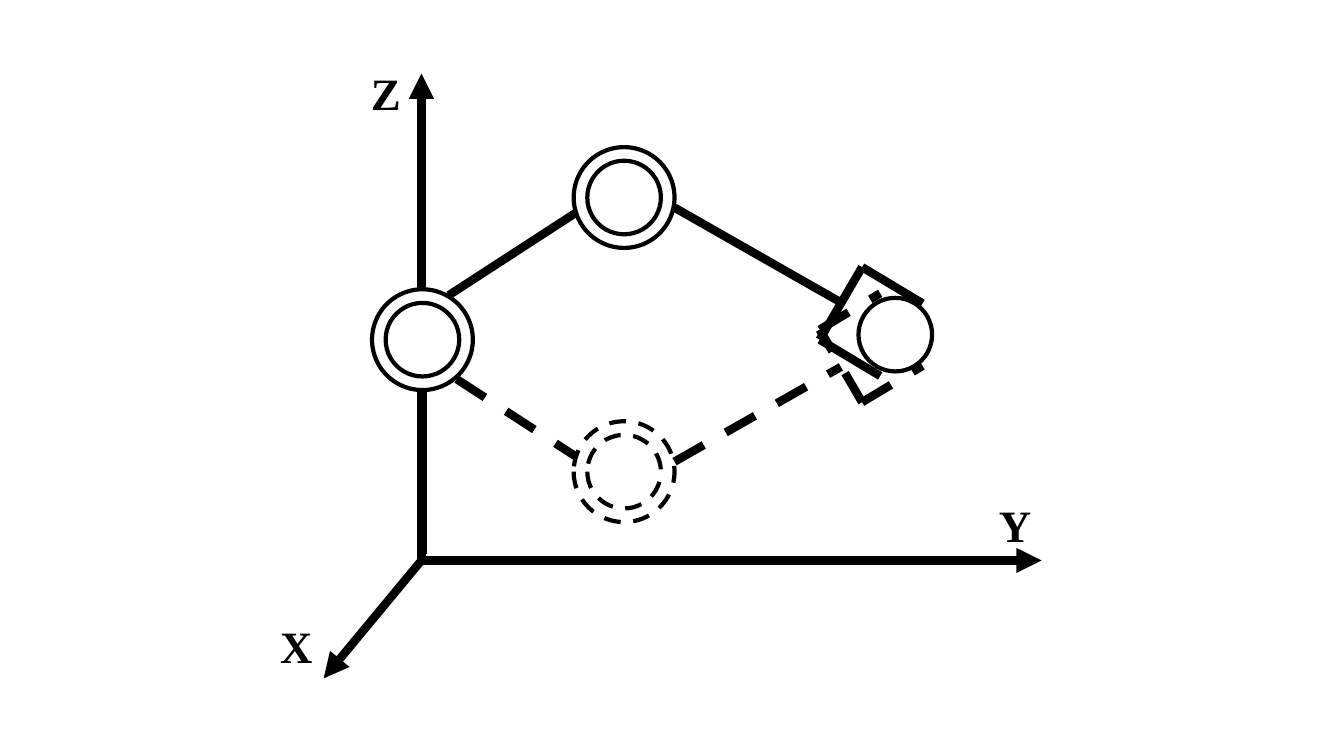
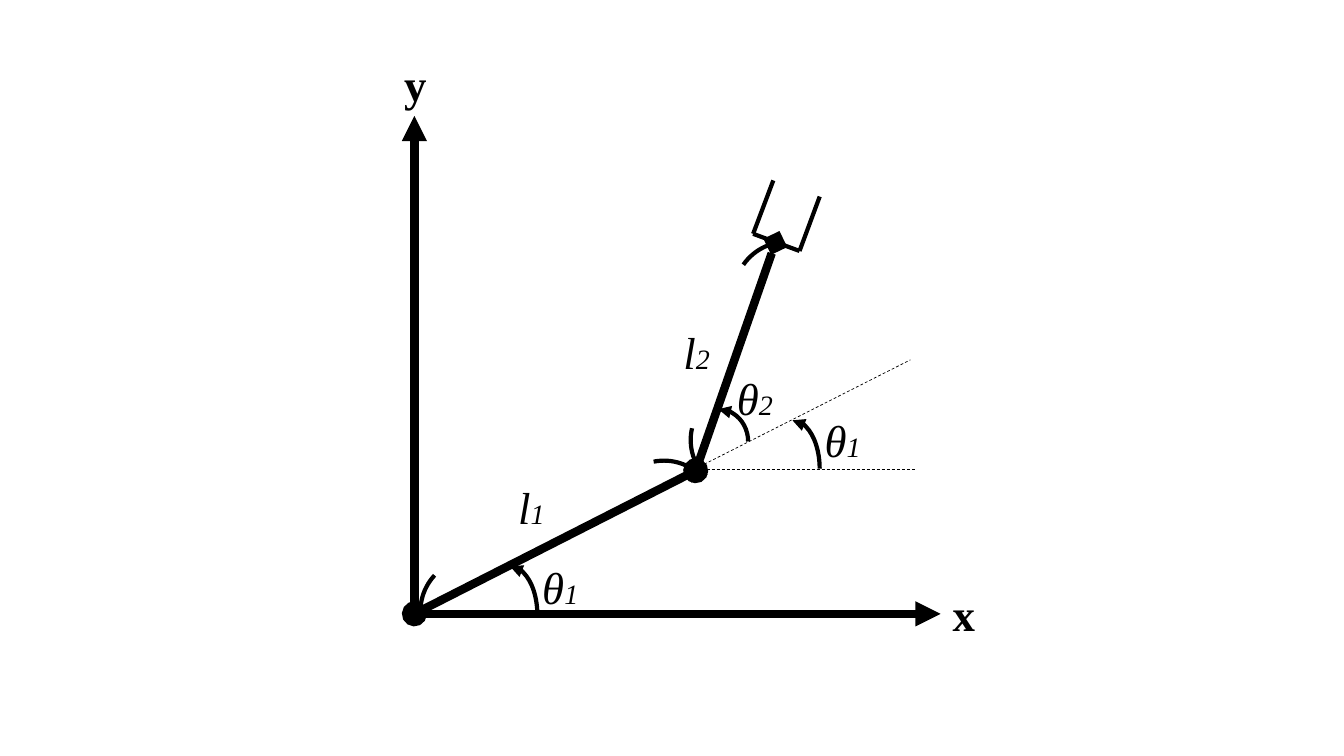
"""Draw a two-link robot arm in space and its planar joint geometry."""
from dataclasses import dataclass

import lxml.etree
import pptx
import pptx.dml.color
import pptx.enum.dml
import pptx.enum.shapes
import pptx.enum.text
import pptx.oxml.ns
import pptx.shapes.base
import pptx.slide
import pptx.util

Inches = pptx.util.Inches
Point = tuple[float, float]
BLACK = pptx.dml.color.RGBColor(0, 0, 0)
WHITE = pptx.dml.color.RGBColor(255, 255, 255)
SHAPES = pptx.enum.shapes.MSO_SHAPE
qn = pptx.oxml.ns.qn

BASE_FONT = {"name": "Times New Roman", "size": pptx.util.Pt(32)}
AXIS_FONT = BASE_FONT | {"bold": True}
SYMBOL_FONT = BASE_FONT | {"italic": True}
INDEX_FONT = SYMBOL_FONT | {"size": pptx.util.Pt(20)}

THICK, MEDIUM, THIN = 6, 3, 0.5
OUTER_RADIUS, INNER_RADIUS = 0.5, 0.365
MIRROR_HEIGHT = 3.32
DEGREES_TO_ADJUSTMENT = 0.6


@dataclass(frozen=True)
class Segment:
    start: Point
    end: Point
    width: float = THICK
    dashed: bool = False
    head: str = ""
    tail: str = ""


@dataclass(frozen=True)
class Arc:
    left: float
    top: float
    width: float
    height: float
    head: str = ""
    rotation: float = 0
    flips: str = ""
    sweep: Point = (270, 0)


@dataclass(frozen=True)
class Label:
    text: str
    left: float
    top: float
    width: float
    index: str = ""


def style_outline(shape: pptx.shapes.base.BaseShape, width: float, dashed: bool = False,
                  head: str = "", tail: str = "") -> None:
    shape.line.color.rgb = BLACK
    shape.line.width = pptx.util.Pt(width)
    if dashed:
        shape.line.dash_style = pptx.enum.dml.MSO_LINE.DASH
    outline = shape.element.spPr.find(qn("a:ln"))
    for tag, kind in (("a:headEnd", head), ("a:tailEnd", tail)):
        if kind:
            lxml.etree.SubElement(outline, qn(tag), type=kind)


def flip(shape: pptx.shapes.base.BaseShape, directions: str) -> None:
    for direction in directions:
        shape.element.spPr.find(qn("a:xfrm")).set(f"flip{direction}", "1")


def draw_segment(slide: pptx.slide.Slide, segment: Segment) -> None:
    connector = slide.shapes.add_connector(
        pptx.enum.shapes.MSO_CONNECTOR.STRAIGHT,
        *(Inches(value) for value in segment.start + segment.end))
    style_outline(connector, segment.width, segment.dashed, segment.head, segment.tail)
    lxml.etree.SubElement(connector.element.spPr, qn("a:effectLst"))


def draw_circle(slide: pptx.slide.Slide, center: Point, radius: float, dashed: bool = False) -> None:
    x, y = center
    circle = slide.shapes.add_shape(
        SHAPES.OVAL, Inches(x - radius), Inches(y - radius), Inches(2 * radius), Inches(2 * radius))
    circle.shadow.inherit = False
    circle.fill.solid()
    circle.fill.fore_color.rgb = WHITE
    style_outline(circle, MEDIUM, dashed)
    flip(circle, "V" if dashed else "")


def draw_joint(slide: pptx.slide.Slide, center: Point, dashed: bool = False) -> None:
    for radius in (OUTER_RADIUS, INNER_RADIUS):
        draw_circle(slide, center, radius, dashed)


def draw_arc(slide: pptx.slide.Slide, arc: Arc) -> None:
    curve = slide.shapes.add_shape(
        SHAPES.ARC, Inches(arc.left), Inches(arc.top), Inches(arc.width), Inches(arc.height))
    curve.shadow.inherit = False
    curve.fill.background()
    curve.rotation = arc.rotation
    for position, angle in enumerate(arc.sweep):
        curve.adjustments[position] = angle * DEGREES_TO_ADJUSTMENT
    flip(curve, arc.flips)
    style_outline(curve, MEDIUM, head=arc.head)


def draw_label(slide: pptx.slide.Slide, label: Label) -> None:
    box = slide.shapes.add_textbox(
        Inches(label.left), Inches(label.top), Inches(label.width), Inches(0.64))
    frame = box.text_frame
    frame.word_wrap = False
    frame.auto_size = pptx.enum.text.MSO_AUTO_SIZE.SHAPE_TO_FIT_TEXT
    pieces = ([(label.text, SYMBOL_FONT), (label.index, INDEX_FONT)] if label.index
              else [(label.text, AXIS_FONT)])
    for text, font in pieces:
        run = frame.paragraphs[0].add_run()
        run.text = text
        run.font.color.rgb = BLACK
        for attribute, value in font.items():
            setattr(run.font, attribute, value)


def draw_arm(slide: pptx.slide.Slide, mirrored: bool) -> None:
    def place(point: Point) -> Point:
        x, y = point
        return (x, 2 * MIRROR_HEIGHT - y) if mirrored else point

    def draw_link(start: Point, end: Point) -> None:
        draw_segment(slide, Segment(place(start), place(end), dashed=mirrored))

    draw_link((5.79, 2.06), (4.45, 2.93))
    draw_joint(slide, place((6.19, 1.96)), mirrored)
    draw_link((6.69, 2.06), (8.34, 3))
    palm_top, palm_bottom = (8.55, 2.65), (8.13, 3.37)
    draw_link(palm_top, palm_bottom)
    draw_link(palm_bottom, (8.73, 3.73))
    draw_link(palm_top, (9.15, 3.01))


def draw_spatial_arm(slide: pptx.slide.Slide) -> None:
    for axis in (
        Segment((3.21, 6.73), (4.18, 5.56), head="triangle"),
        Segment((4.18, 5.56), (4.18, 0.73), tail="triangle"),
        Segment((4.16, 5.56), (10.33, 5.56), tail="triangle"),
    ):
        draw_segment(slide, axis)
    draw_arm(slide, mirrored=True)
    draw_segment(slide, Segment((4.19, 3.87), (4.19, 5.5)))
    draw_joint(slide, (4.19, 3.37))
    draw_arm(slide, mirrored=False)
    draw_circle(slide, (8.88, 3.32), INNER_RADIUS)
    for axis_name in (
        Label("Z", 3.58, 0.6, 0.5),
        Label("Y", 9.81, 4.89, 0.53),
        Label("X", 2.68, 6.09, 0.53),
    ):
        draw_label(slide, axis_name)


def draw_planar_arm(slide: pptx.slide.Slide) -> None:
    origin, elbow = (4.11, 6.09), (6.9, 4.67)
    palm_left, palm_right = (7.47, 2.32), (7.93, 2.49)
    for segment in (
        Segment(origin, (4.11, 1.15), tail="triangle"),
        Segment((4.07, 6.09), (9.33, 6.09), tail="triangle"),
        Segment(origin, elbow, head="oval", tail="oval"),
        Segment(elbow, (7.69, 2.41), head="diamond", tail="diamond"),
        Segment(palm_left, (7.67, 1.79), MEDIUM),
        Segment(palm_right, (8.13, 1.95), MEDIUM),
        Segment(palm_left, palm_right, MEDIUM),
        Segment((6.72, 4.74), (9.03, 3.57), THIN, dashed=True),
        Segment((6.91, 4.66), (9.09, 4.66), THIN, dashed=True),
    ):
        draw_segment(slide, segment)

    for left, top in ((4.79, 5.62), (7.59, 4.17)):
        draw_arc(slide, Arc(left, top, 0.54, 0.96, head="triangle"))
        draw_label(slide, Label("θ", left + 0.49, top - 0.12, 0.56, "1"))
    draw_arc(slide, Arc(6.83, 4.06, 0.59, 0.64, head="triangle"))

    for left, top, rotation, flips in (
        (7.28, 2.4, 342.3, "H"),
        (6.85, 3.84, 65.1, "HV"),
        (6.06, 4.57, 206.4, "V"),
        (4.17, 5.54, 275.3, ""),
    ):
        draw_arc(slide, Arc(left, top, 1.05, 1.05, rotation=rotation, flips=flips,
                            sweep=(270, 307.64)))

    for label in (
        Label("θ", 7.21, 3.63, 0.56, "2"),
        Label("y", 3.91, 0.51, 0.43),
        Label("x", 9.35, 5.77, 0.43),
        Label("l", 5.04, 4.71, 0.47, "1"),
        Label("l", 6.68, 3.17, 0.47, "2"),
    ):
        draw_label(slide, label)


def main() -> None:
    deck = pptx.Presentation()
    deck.slide_width, deck.slide_height = Inches(13.33), Inches(7.5)
    blank_layout = deck.slide_layouts[6]
    for draw in (draw_spatial_arm, draw_planar_arm):
        draw(deck.slides.add_slide(blank_layout))
    deck.save("out.pptx")


main()
